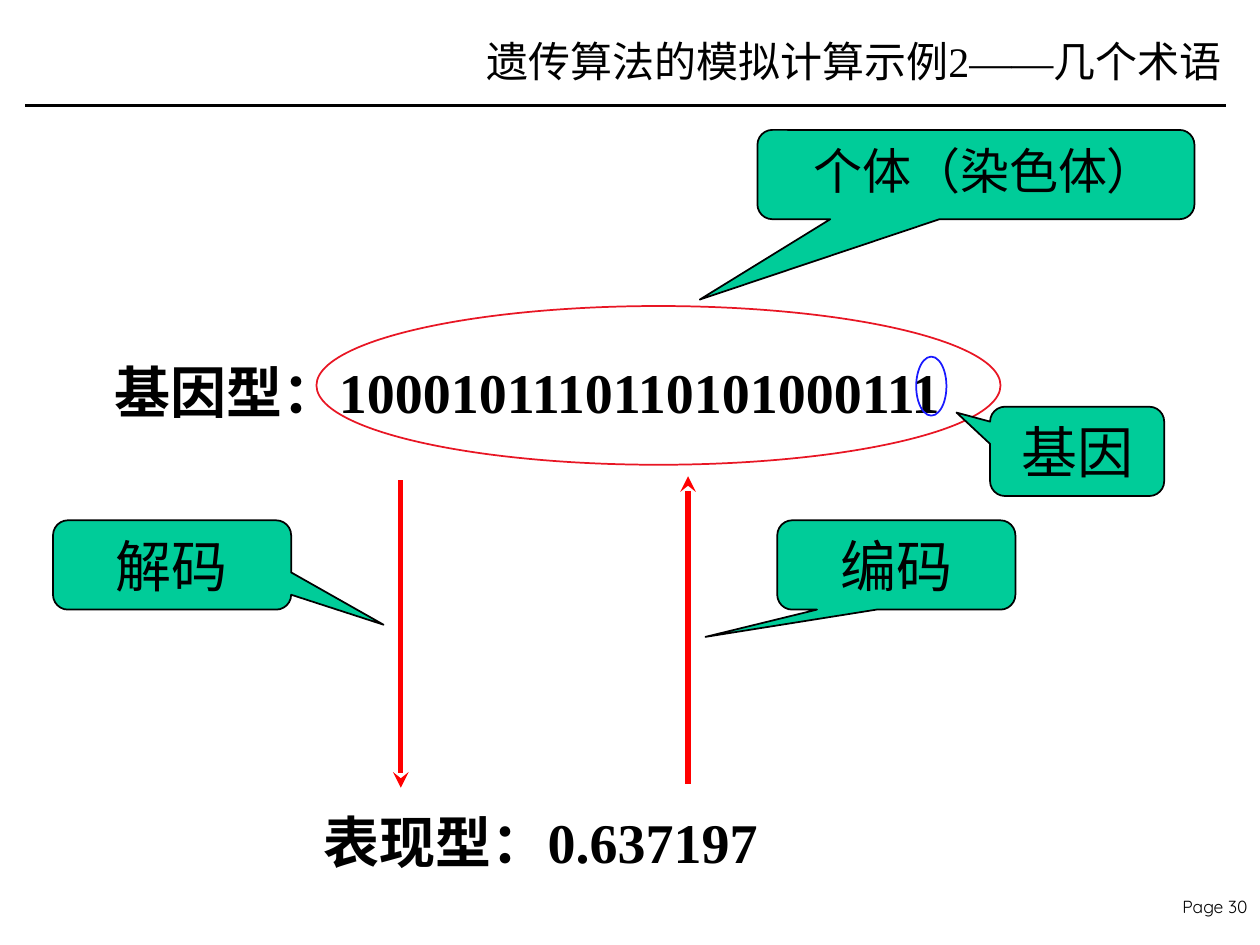
from dataclasses import dataclass

from lxml import etree
from pptx import Presentation
from pptx.dml.color import RGBColor
from pptx.enum.shapes import MSO_CONNECTOR, MSO_SHAPE
from pptx.enum.text import MSO_ANCHOR, PP_ALIGN
from pptx.oxml.ns import qn
from pptx.shapes.autoshape import Shape
from pptx.slide import Slide
from pptx.util import Cm, Pt

STRAIGHT = MSO_CONNECTOR.STRAIGHT
CALLOUT = MSO_SHAPE.ROUNDED_RECTANGULAR_CALLOUT
OVAL = MSO_SHAPE.OVAL
TOP, MIDDLE = MSO_ANCHOR.TOP, MSO_ANCHOR.MIDDLE
LEFT, CENTER, RIGHT = PP_ALIGN.LEFT, PP_ALIGN.CENTER, PP_ALIGN.RIGHT

SERIF = "Times New Roman"
SANS = "Quicksand"
COLORS = {
    "ink": "000000",
    "callout": "00CC99",
    "arrow": "FF0000",
    "chromosome": "E81624",
    "gene": "1919FF",
}
CALLOUT_HEIGHT = 1.8
CORNER = 0.167
SIDE_MARGIN = 0.25
END_MARGIN = 0.13

Box = tuple[float, float, float, float]
Point = tuple[float, float]


@dataclass
class Label:
    text: str
    size: float = 32
    font: str = SERIF
    bold: bool = False
    align: PP_ALIGN = LEFT
    anchor: MSO_ANCHOR = TOP
    spacing: float = 1.0
    margin: float = SIDE_MARGIN
    indent: float = 0
    hanging: float = 0


@dataclass
class TextBox:
    box: Box
    label: Label


@dataclass
class Callout:
    left: float
    top: float
    width: float
    pointer: Point
    label: Label


@dataclass
class Ring:
    box: Box
    color: str


@dataclass
class Line:
    start: Point
    end: Point
    color: str
    width: float
    arrow: bool = False


TEXT_BOXES = [
    TextBox((23.37, 17.93, 2.03, 0.66), Label("Page 30", 10, SANS, align=RIGHT)),
    TextBox(
        (8.59, 0.28, 16.28, 1.9),
        Label("遗传算法的模拟计算示例2——几个术语", 24, align=RIGHT, anchor=MIDDLE),
    ),
    TextBox(
        (2.06, 6.4, 18.8, 2.62),
        Label("基因型：1000101110110101000111", bold=True, spacing=1.5, indent=0.95, hanging=0.95),
    ),
    TextBox(
        (6.27, 15.47, 10.59, 2.41),
        Label("表现型：0.637197", bold=True, spacing=1.5, indent=0.95, hanging=0.95),
    ),
]
LINES = [
    Line((0.51, 2.13), (24.71, 2.13), "ink", 2),
    Line((8.08, 9.68), (8.08, 15.88), "arrow", 3, True),
    Line((13.87, 15.8), (13.87, 9.6), "arrow", 3, True),
]
CODING_CALLOUTS = [
    Callout(15.67, 10.49, 4.8, (-0.802, 0.806), Label("编码", align=CENTER)),
    Callout(1.07, 10.49, 4.8, (0.888, 0.669), Label("解码", align=CENTER)),
]
CHROMOSOME_RING = Ring((6.38, 6.17, 13.79, 3.2), "chromosome")
CHROMOSOME_CALLOUT = Callout(
    15.27, 2.62, 8.81, (-0.632, 1.4), Label("个体（染色体）", 28, margin=0.05, indent=0.99)
)
GENE_RING = Ring((18.47, 7.19, 0.61, 1.19), "gene")
GENE_CALLOUT = Callout(19.96, 8.2, 3.51, (-0.693, -0.434), Label("基因", align=CENTER))


def rgb(name: str) -> RGBColor:
    return RGBColor.from_string(COLORS[name])


def apply_format(target: object, values: dict) -> None:
    for name, value in values.items():
        setattr(target, name, value)


def write_label(shape: Shape, label: Label) -> None:
    frame = shape.text_frame
    apply_format(frame, {
        "word_wrap": True,
        "vertical_anchor": label.anchor,
        "margin_left": Cm(label.margin),
        "margin_right": Cm(label.margin),
        "margin_top": Cm(END_MARGIN),
        "margin_bottom": Cm(END_MARGIN),
    })
    para = frame.paragraphs[0]
    apply_format(para, {"alignment": label.align, "line_spacing": label.spacing})
    properties = para._p.get_or_add_pPr()
    properties.set("marL", str(Cm(label.indent)))
    properties.set("indent", str(-Cm(label.hanging)))
    span = para.add_run()
    span.text = label.text
    apply_format(span.font, {"size": Pt(label.size), "name": label.font, "bold": label.bold})
    span.font.color.rgb = rgb("ink")


def draw_text_box(page: Slide, item: TextBox) -> None:
    write_label(page.shapes.add_textbox(*map(Cm, item.box)), item.label)


def draw_outlined(page: Slide, preset: MSO_SHAPE, box: Box, color: str) -> Shape:
    shape = page.shapes.add_shape(preset, *map(Cm, box))
    shape.shadow.inherit = False
    shape.line.color.rgb = rgb(color)
    shape.line.width = Pt(1)
    return shape


def draw_ring(page: Slide, ring: Ring) -> None:
    draw_outlined(page, OVAL, ring.box, ring.color).fill.background()


def draw_callout(page: Slide, item: Callout) -> None:
    box = (item.left, item.top, item.width, CALLOUT_HEIGHT)
    shape = draw_outlined(page, CALLOUT, box, "ink")
    shape.fill.solid()
    shape.fill.fore_color.rgb = rgb("callout")
    for index, value in enumerate((*item.pointer, CORNER)):
        shape.adjustments[index] = value
    write_label(shape, item.label)


def draw_line(page: Slide, item: Line) -> None:
    connector = page.shapes.add_connector(STRAIGHT, *map(Cm, item.start + item.end))
    connector.line.color.rgb = rgb(item.color)
    connector.line.width = Pt(item.width)
    if item.arrow:
        etree.SubElement(connector.line._get_or_add_ln(), qn("a:tailEnd"), type="stealth")
    etree.SubElement(connector._element.spPr, qn("a:effectLst"))


def main() -> None:
    deck = Presentation()
    apply_format(deck, {"slide_width": Cm(25.4), "slide_height": Cm(19.05)})
    page = deck.slides.add_slide(deck.slide_layouts[6])
    for text_box in TEXT_BOXES:
        draw_text_box(page, text_box)
    for line in LINES:
        draw_line(page, line)
    for callout in CODING_CALLOUTS:
        draw_callout(page, callout)
    draw_ring(page, CHROMOSOME_RING)
    draw_callout(page, CHROMOSOME_CALLOUT)
    draw_ring(page, GENE_RING)
    draw_callout(page, GENE_CALLOUT)
    deck.save("out.pptx")


if __name__ == "__main__":
    main()
